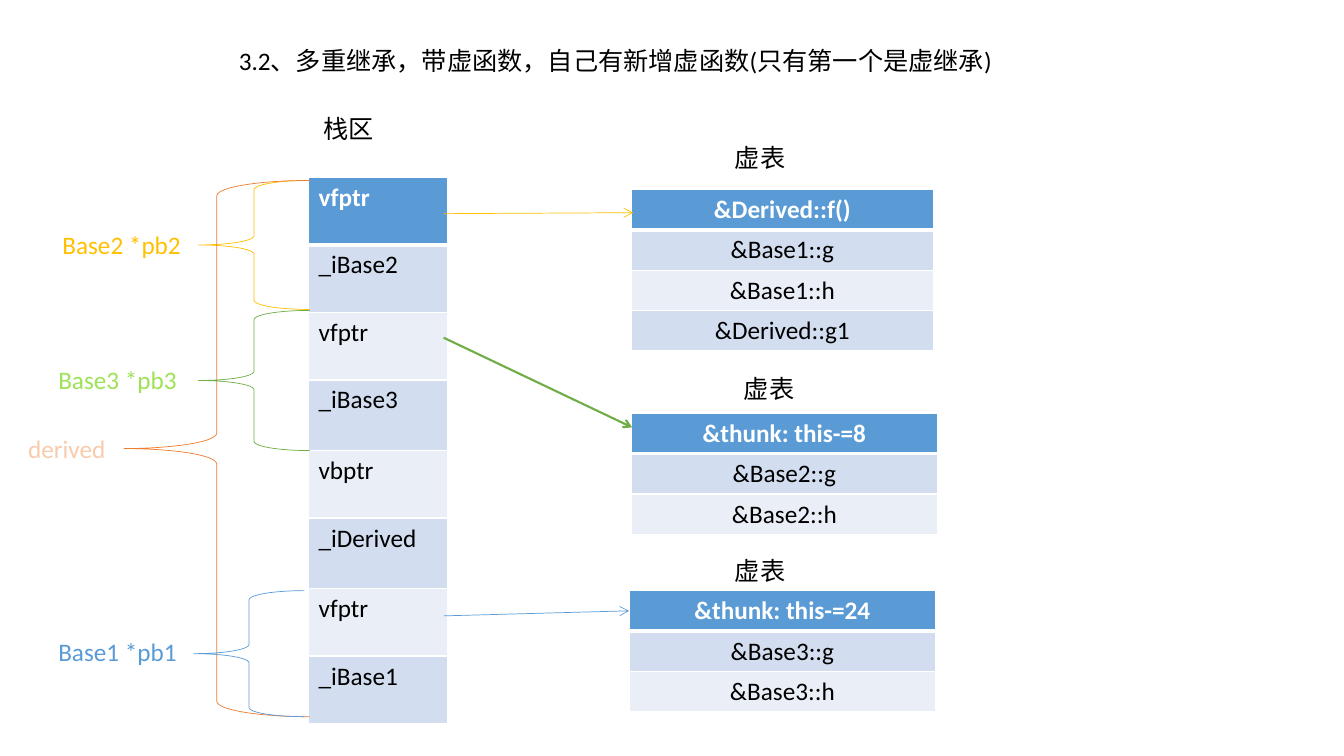
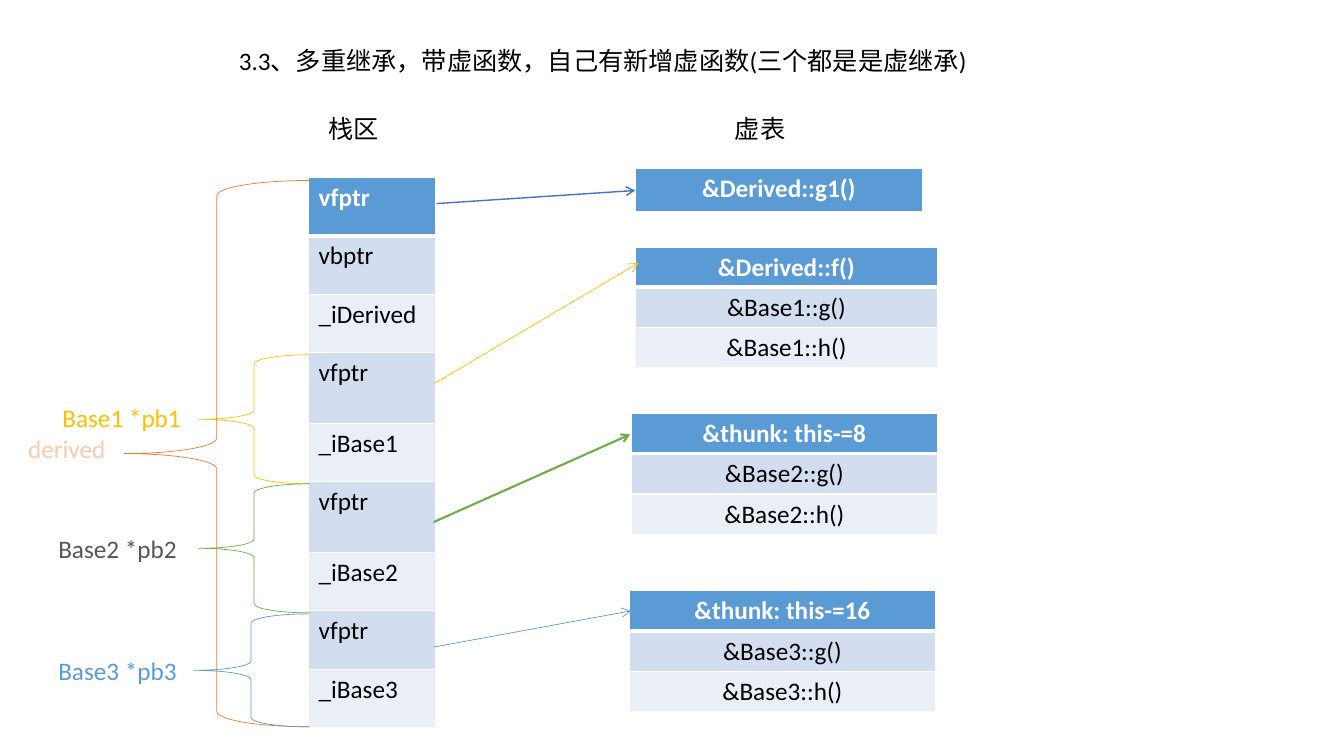
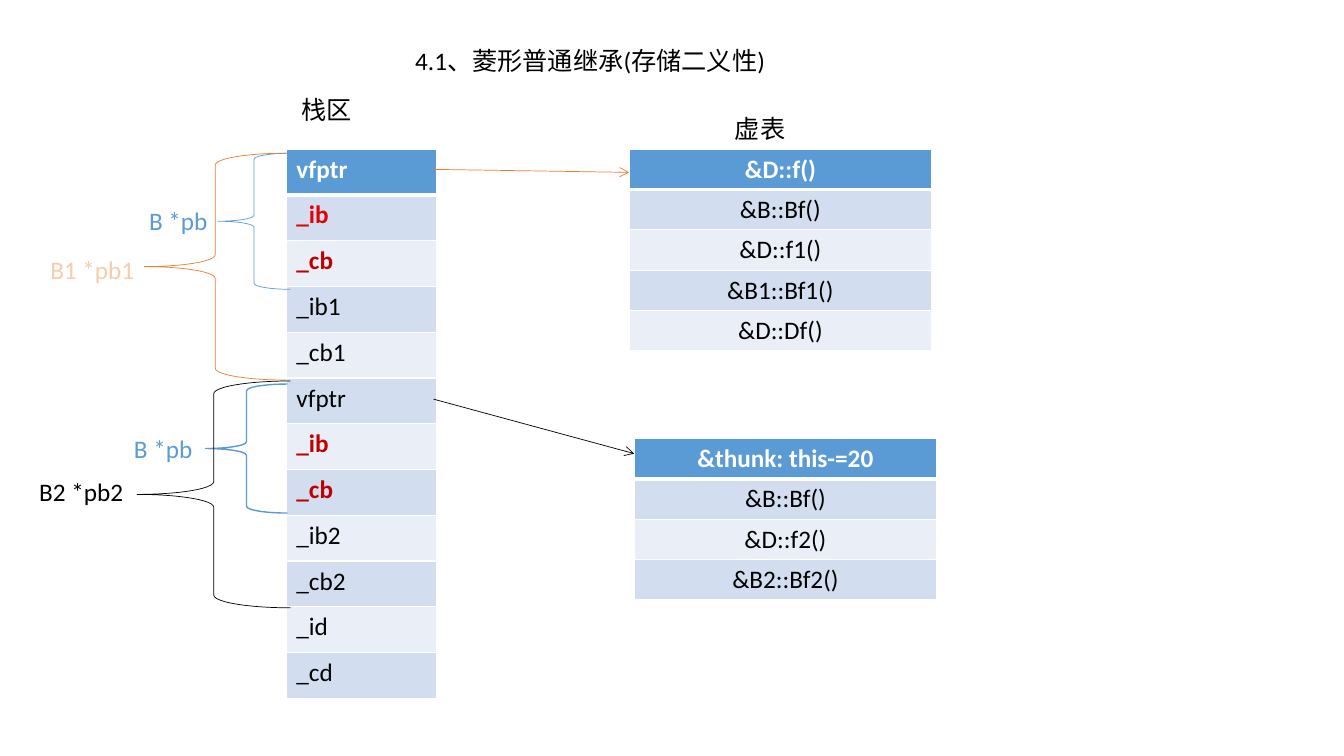
"""Build three slides on the memory layout of multiple and diamond inheritance."""
from lxml import etree
from pptx import Presentation
from pptx.dml.color import RGBColor
from pptx.enum import shapes, text
from pptx.oxml import ns
from pptx.util import Inches, Pt

COLORS = {
    "black": "000000", "white": "FFFFFF", "header": "5B9BD5", "odd": "D2DEEF",
    "even": "EAEFF7", "gold": "FFC000", "orange": "ED7D31", "peach": "F8CBAD",
    "blue": "5B9BD5", "navy": "4472C4", "green": "70AD47", "lime": "9EE256",
    "gray": "53575C", "red": "E30000", "dark_red": "C00000",
}
VTABLE_ROW = 0.4
LABEL_HEIGHT = 0.4

SLIDES = [
    {
        "title": ("3.2、多重继承，带虚函数，自己有新增虚函数(只有第一个是虚继承)", 2.27),
        "stack": {
            "at": (3.06, 1.76, 1.38),
            "rows": ["vfptr", "_iBase2", "vfptr", "_iBase3", "vbptr", "_iDerived", "vfptr", "_iBase1"],
            "heights": [0.67, 0.67, 0.67, 0.7, 0.67, 0.7, 0.67, 0.67],
        },
        "vtables": [
            ((6.26, 1.88, 3), ["&Derived::f()", "&Base1::g", "&Base1::h", "&Derived::g1"]),
            ((6.26, 4.1, 3.04), ["&thunk: this-=8", "&Base2::g", "&Base2::h"]),
            ((6.24, 5.86, 3.04), ["&thunk: this-=24", "&Base3::g", "&Base3::h"]),
        ],
        "labels": [
            ("栈区", 3.11, 1.08, "black"), ("虚表", 7.19, 1.36, "black"),
            ("虚表", 7.28, 3.65, "black"), ("虚表", 7.19, 5.46, "black"),
            ("derived", 0.18, 4.25, "peach"), ("Base1 *pb1", 0.48, 6.26, "blue"),
            ("Base2 *pb2", 0.52, 2.23, "gold"), ("Base3 *pb3", 0.48, 3.57, "lime"),
        ],
        "braces": [
            ((1.97, 1.79, 1.1, 1.28), "gold", 0.5), ((1.23, 1.79, 1.84, 5.32), "orange", 0.5),
            ((1.97, 3.08, 1.1, 1.39), "green", 0.5), ((1.92, 5.86, 1.1, 1.25), "blue", 0.5),
        ],
        "arrows": [
            ((4.4, 2.12, 6.28, 2.11), "gold", 0.5),
            ((4.4, 3.35, 6.27, 4.24), "green", 1.5),
            ((4.4, 6.11, 6.24, 6.06), "blue", 0.5),
        ],
    },
    {
        "title": ("3.3、多重继承，带虚函数，自己有新增虚函数(三个都是是虚继承)", 2.27),
        "stack": {
            "at": (3.06, 1.76, 1.26),
            "rows": ["vfptr", "vbptr", "_iDerived", "vfptr", "_iBase1", "vfptr", "_iBase2", "vfptr", "_iBase3"],
            "heights": [0.58, 0.58, 0.58, 0.7, 0.58, 0.7, 0.58, 0.58, 0.58],
        },
        "vtables": [
            ((6.3, 1.67, 2.85), ["&Derived::g1()"]),
            ((6.3, 2.45, 3), ["&Derived::f()", "&Base1::g()", "&Base1::h()"]),
            ((6.26, 4.1, 3.04), ["&thunk: this-=8", "&Base2::g()", "&Base2::h()"]),
            ((6.24, 5.86, 3.04), ["&thunk: this-=16", "&Base3::g()", "&Base3::h()"]),
        ],
        "labels": [
            ("栈区", 3.16, 1.08, "black"), ("虚表", 7.19, 1.08, "black"),
            ("derived", 0.18, 4.25, "peach"), ("Base3 *pb3", 0.48, 6.45, "blue"),
            ("Base1 *pb1", 0.52, 3.94, "gold"), ("Base2 *pb2", 0.48, 5.24, "gray"),
        ],
        "braces": [
            ((1.97, 3.52, 1.1, 1.28), "gold", 0.5), ((1.23, 1.79, 1.84, 5.42), "orange", 0.5),
            ((1.97, 4.8, 1.1, 1.28), "green", 0.5), ((1.92, 6.09, 1.14, 1.12), "blue", 0.5),
        ],
        "arrows": [
            ((4.33, 2.02, 6.3, 1.89), "navy", 1),
            ((4.3, 3.81, 6.33, 2.61), "gold", 0.5),
            ((4.3, 5.18, 6.25, 4.31), "green", 1.5),
            ((4.3, 6.42, 6.26, 6.06), "blue", 0.5),
        ],
    },
    {
        "title": ("4.1、菱形普通继承(存储二义性)", 4.02),
        "stack": {
            "at": (2.84, 1.48, 1.49),
            "rows": ["vfptr", "_ib", "_cb", "_ib1", "_cb1", "vfptr",
                     "_ib", "_cb", "_ib2", "_cb2", "_id", "_cd"],
            "heights": [5.45 / 12] * 12,
            "marked": {1: "red", 2: "dark_red", 6: "dark_red", 7: "dark_red"},
        },
        "vtables": [
            ((6.24, 1.48, 3), ["&D::f()", "&B::Bf()", "&D::f1()", "&B1::Bf1()", "&D::Df()"]),
            ((6.29, 4.35, 3), ["&thunk: this-=20", "&B::Bf()", "&D::f2()", "&B2::Bf2()"]),
        ],
        "labels": [
            ("栈区", 2.89, 0.89, "black"), ("虚表", 7.19, 1.08, "black"),
            ("B1 *pb1", 0.4, 2.47, "peach"), ("B *pb", 1.23, 4.25, "blue"),
            ("B *pb", 1.38, 1.99, "blue"), ("B2 *pb2", 0.29, 4.68, "black"),
        ],
        "braces": [
            ((2.16, 1.52, 0.72, 1.35), "blue", 0.5), ((1.43, 1.52, 1.41, 2.25), "orange", 0.5),
            ((2.04, 3.81, 0.81, 1.28), "blue", 1), ((1.36, 3.78, 1.52, 2.25), "black", 0.5),
        ],
        "arrows": [
            ((4.28, 1.68, 6.24, 1.71), "orange", 0.5),
            ((4.3, 3.96, 6.29, 4.5), "black", 0.5),
        ],
    },
]


def write(frame, content, color="black", bold=False, align=text.PP_ALIGN.LEFT):
    frame.word_wrap = True
    paragraph = frame.paragraphs[0]
    paragraph.alignment = align
    run = paragraph.add_run()
    run.text = content
    run.font.name = "Calibri"
    run.font.size = Pt(18)
    run.font.bold = bold
    run.font.color.rgb = RGBColor.from_string(COLORS[color])


def add_table(slide, at, rows, heights, align, marked):
    left, top, width = at
    table = slide.shapes.add_table(
        len(rows), 1, Inches(left), Inches(top), Inches(width), Inches(sum(heights))).table
    for index, (content, height) in enumerate(zip(rows, heights)):
        table.rows[index].height = Inches(height)
        cell = table.cell(index, 0)
        properties = cell._tc.get_or_add_tcPr()
        for side in "LRTB":
            heavy = (index == 0 and side == "B") or (index == 1 and side == "T")
            border = etree.SubElement(properties, ns.qn(f"a:ln{side}"), w=str(Pt(3 if heavy else 1)))
            fill = etree.SubElement(border, ns.qn("a:solidFill"))
            etree.SubElement(fill, ns.qn("a:srgbClr"), val=COLORS["white"])
        cell.fill.solid()
        band = "header" if index == 0 else "odd" if index % 2 else "even"
        cell.fill.fore_color.rgb = RGBColor.from_string(COLORS[band])
        color = "white" if index == 0 else marked.get(index, "black")
        write(cell.text_frame, content, color=color, bold=color != "black", align=align)


presentation = Presentation()
presentation.slide_width = Inches(13.33)
presentation.slide_height = Inches(7.5)

for layout in SLIDES:
    slide = presentation.slides.add_slide(presentation.slide_layouts[6])

    title, title_left = layout["title"]
    box = slide.shapes.add_textbox(
        Inches(title_left), Inches(0.4), Inches(8.17), Inches(LABEL_HEIGHT))
    write(box.text_frame, title)

    stack = layout["stack"]
    add_table(slide, stack["at"], stack["rows"], stack["heights"],
              text.PP_ALIGN.LEFT, stack.get("marked", {}))
    for at, functions in layout["vtables"]:
        row_height = 0.44 if len(functions) == 1 else VTABLE_ROW
        add_table(slide, at, functions, [row_height] * len(functions), text.PP_ALIGN.CENTER, {})

    for at, color, width in layout["braces"]:
        brace = slide.shapes.add_shape(shapes.MSO_SHAPE.LEFT_BRACE, *map(Inches, at))
        brace.shadow.inherit = False
        brace.fill.background()
        brace.line.color.rgb = RGBColor.from_string(COLORS[color])
        brace.line.width = Pt(width)

    for ends, color, width in layout["arrows"]:
        arrow = slide.shapes.add_connector(shapes.MSO_CONNECTOR.STRAIGHT, *map(Inches, ends))
        arrow.line.color.rgb = RGBColor.from_string(COLORS[color])
        arrow.line.width = Pt(width)
        etree.SubElement(arrow.line._get_or_add_ln(), ns.qn("a:tailEnd"), type="arrow")
        etree.SubElement(arrow._element.spPr, ns.qn("a:effectLst"))

    for content, left, top, color in layout["labels"]:
        box = slide.shapes.add_textbox(
            Inches(left), Inches(top), Inches(1.45), Inches(LABEL_HEIGHT))
        write(box.text_frame, content, color=color)

presentation.save("out.pptx")
